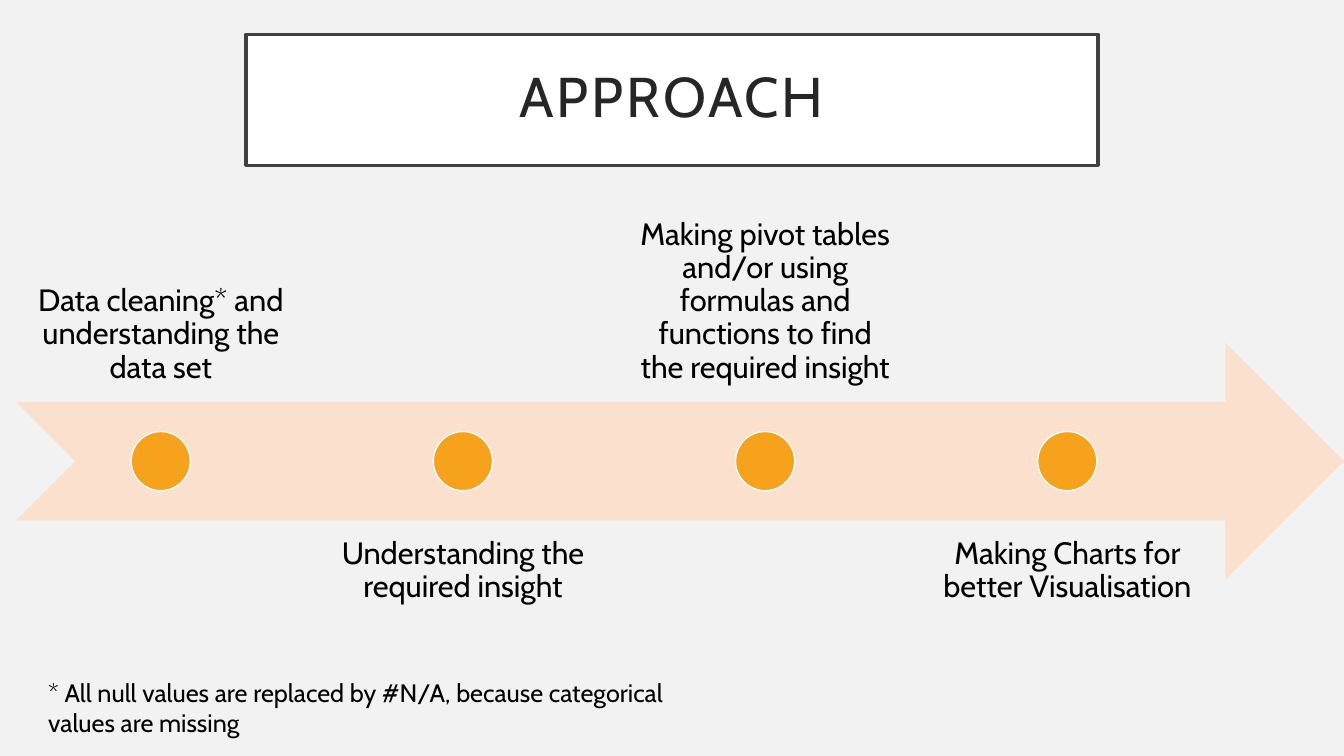
from pptx import Presentation
from pptx.dml.color import RGBColor
from pptx.enum.shapes import MSO_SHAPE
from pptx.enum.text import MSO_ANCHOR, PP_ALIGN
from pptx.util import Inches, Pt

BACKGROUND = RGBColor(0xF2, 0xF2, 0xF2)
WHITE = RGBColor(0xFF, 0xFF, 0xFF)
BLACK = RGBColor(0, 0, 0)
TITLE_TEXT = RGBColor(0x26, 0x26, 0x26)
TITLE_BORDER = RGBColor(0x40, 0x40, 0x40)
PEACH = RGBColor(0xFB, 0xE0, 0xCD)
ORANGE = RGBColor(0xF6, 0xA2, 0x1D)
FONT = "Cabin"

STEPS = [
    "Data cleaning* and understanding the data set",
    "Understanding the required insight",
    "Making pivot tables and/or using formulas and functions to find the required insight",
    "Making Charts for better Visualisation",
]
FOOTNOTE = "* All null values are replaced by #N/A, because categorical values are missing"


def write_text(shape, text, size, color=BLACK, align=PP_ALIGN.CENTER,
               anchor=MSO_ANCHOR.TOP, inset=0.17, spacing=0.9):
    """Fill a shape with one formatted paragraph and return its run."""
    frame = shape.text_frame
    frame.word_wrap = True
    frame.vertical_anchor = anchor
    frame.margin_left = frame.margin_right = Inches(inset)
    frame.margin_top = frame.margin_bottom = Inches(min(inset, 0.2))
    paragraph = frame.paragraphs[0]
    paragraph.alignment = align
    paragraph.line_spacing = spacing
    run = paragraph.add_run()
    run.text = text
    run.font.size = Pt(size)
    run.font.name = FONT
    run.font.color.rgb = color
    return run


def add_filled(slide, kind, box, fill, border=None):
    """Add a flat preset shape with an optional thin border."""
    shape = slide.shapes.add_shape(kind, *map(Inches, box))
    shape.shadow.inherit = False
    shape.fill.solid()
    shape.fill.fore_color.rgb = fill
    if border is None:
        shape.line.fill.background()
    else:
        shape.line.color.rgb = border
        shape.line.width = Pt(1)
    return shape


def format_title(slide, left, top, width, height):
    """Place the framed title."""
    title = slide.shapes.title
    title.left, title.top = Inches(left), Inches(top)
    title.width, title.height = Inches(width), Inches(height)
    title.fill.solid()
    title.fill.fore_color.rgb = WHITE
    title.line.color.rgb = TITLE_BORDER
    title.line.width = Pt(2.5)
    run = write_text(title, "APPROACH", 40, TITLE_TEXT,
                     anchor=MSO_ANCHOR.MIDDLE, inset=0.2)
    run.font._element.set("spc", "200")


def add_timeline(slide, left, top, width, height):
    """Draw the arrow with step labels alternating above and below it."""
    add_filled(slide, MSO_SHAPE.NOTCHED_RIGHT_ARROW, (left, top, width, height), PEACH)
    pitch, label_width, dot = 2.997, 2.85, height / 4
    middle = top + height / 2
    for index, step in enumerate(STEPS):
        above = index % 2 == 0
        label_left = left + 0.01 + index * pitch
        label_top = top + height / 4 - height if above else top + height * 3 / 4
        label = slide.shapes.add_textbox(
            *map(Inches, (label_left, label_top, label_width, height)))
        write_text(label, step, 22,
                   anchor=MSO_ANCHOR.BOTTOM if above else MSO_ANCHOR.TOP)
        dot_left = label_left + (label_width - dot) / 2
        add_filled(slide, MSO_SHAPE.OVAL, (dot_left, middle - dot / 2, dot, dot),
                   ORANGE, WHITE)


def add_footnote(slide, left, top, width, height):
    """Place the footnote for the starred step."""
    note = slide.shapes.add_textbox(*map(Inches, (left, top, width, height)))
    write_text(note, FOOTNOTE, 18, align=PP_ALIGN.LEFT, inset=0.1, spacing=1.0)
    note.text_frame.margin_top = note.text_frame.margin_bottom = Inches(0.05)


def build_approach_slide(presentation):
    """Build the slide showing the four steps of the approach."""
    slide = presentation.slides.add_slide(presentation.slide_layouts[5])
    slide.background.fill.solid()
    slide.background.fill.fore_color.rgb = BACKGROUND
    format_title(slide, 2.44, 0.34, 8.45, 1.3)
    add_timeline(slide, 0.16, 3.4, 13.17, 2.35)
    add_footnote(slide, 0.38, 6.67, 6.44, 0.71)


presentation = Presentation()
presentation.slide_width = Inches(13.33)
presentation.slide_height = Inches(7.5)
build_approach_slide(presentation)
presentation.save("out.pptx")
